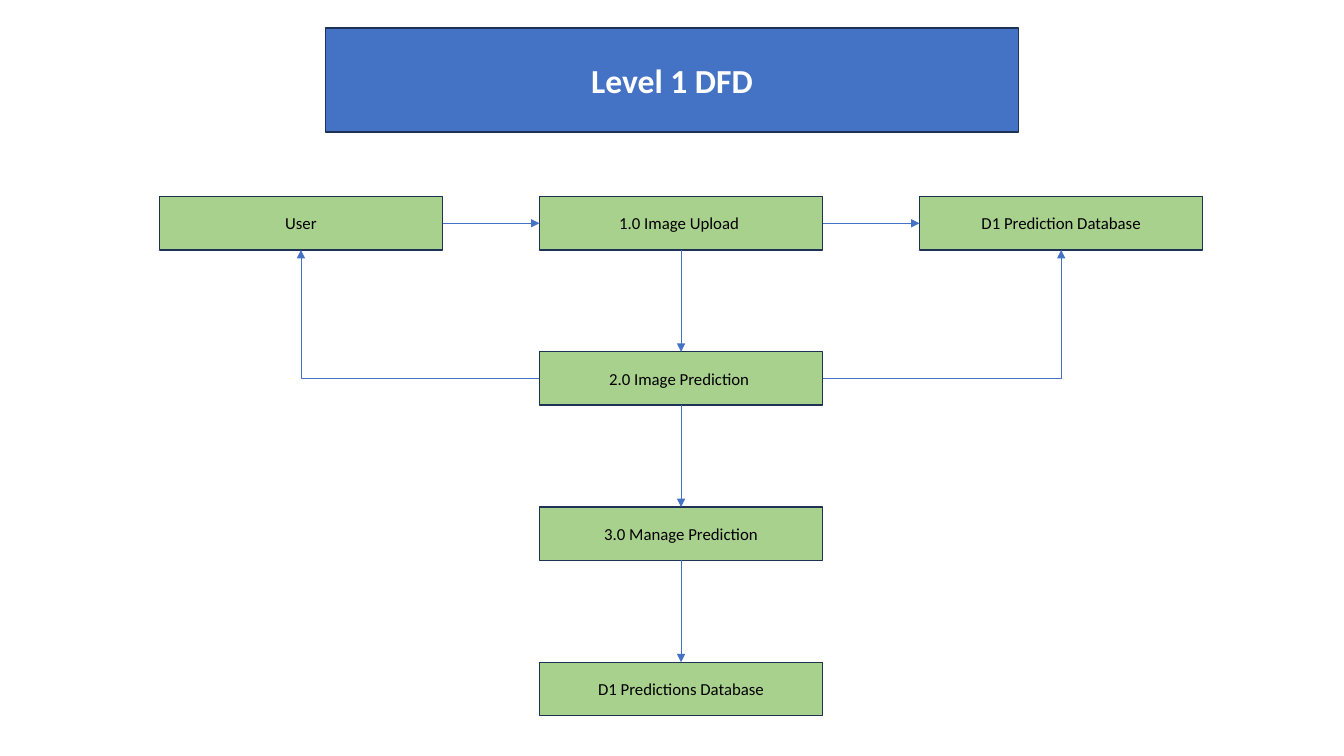
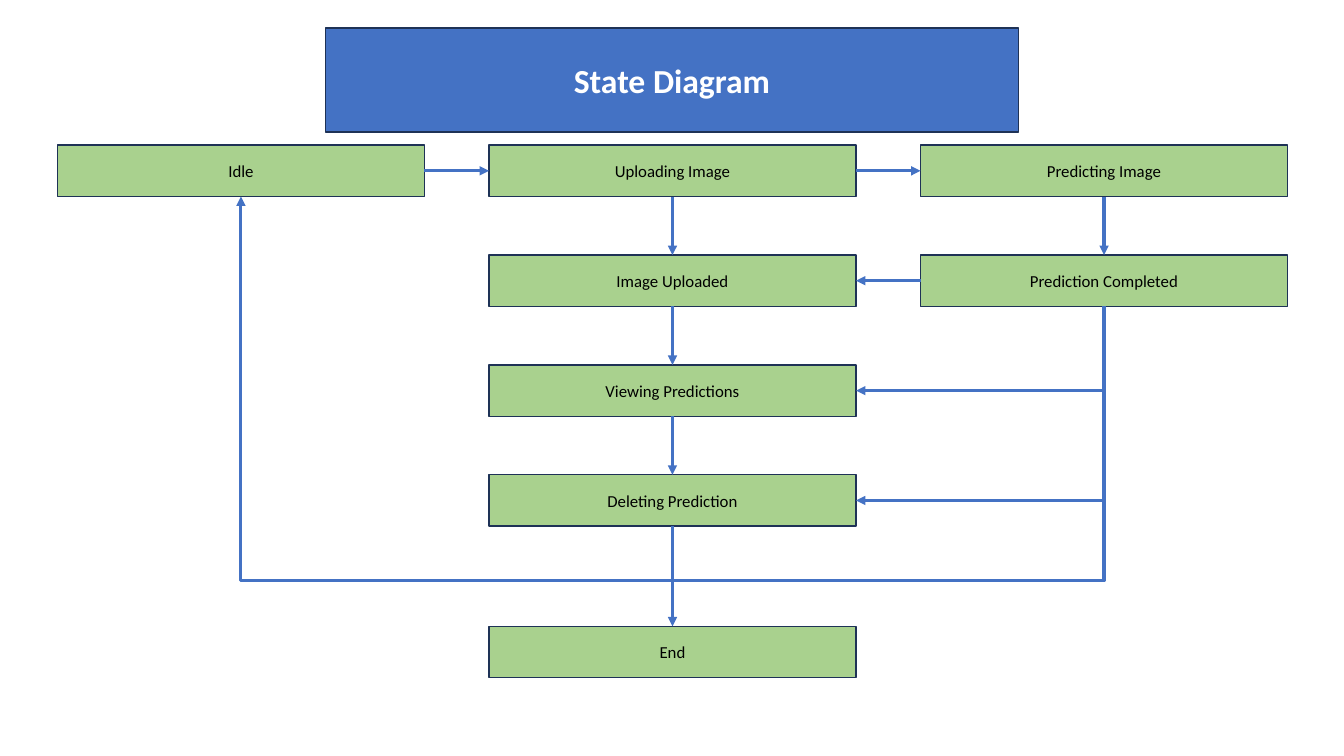
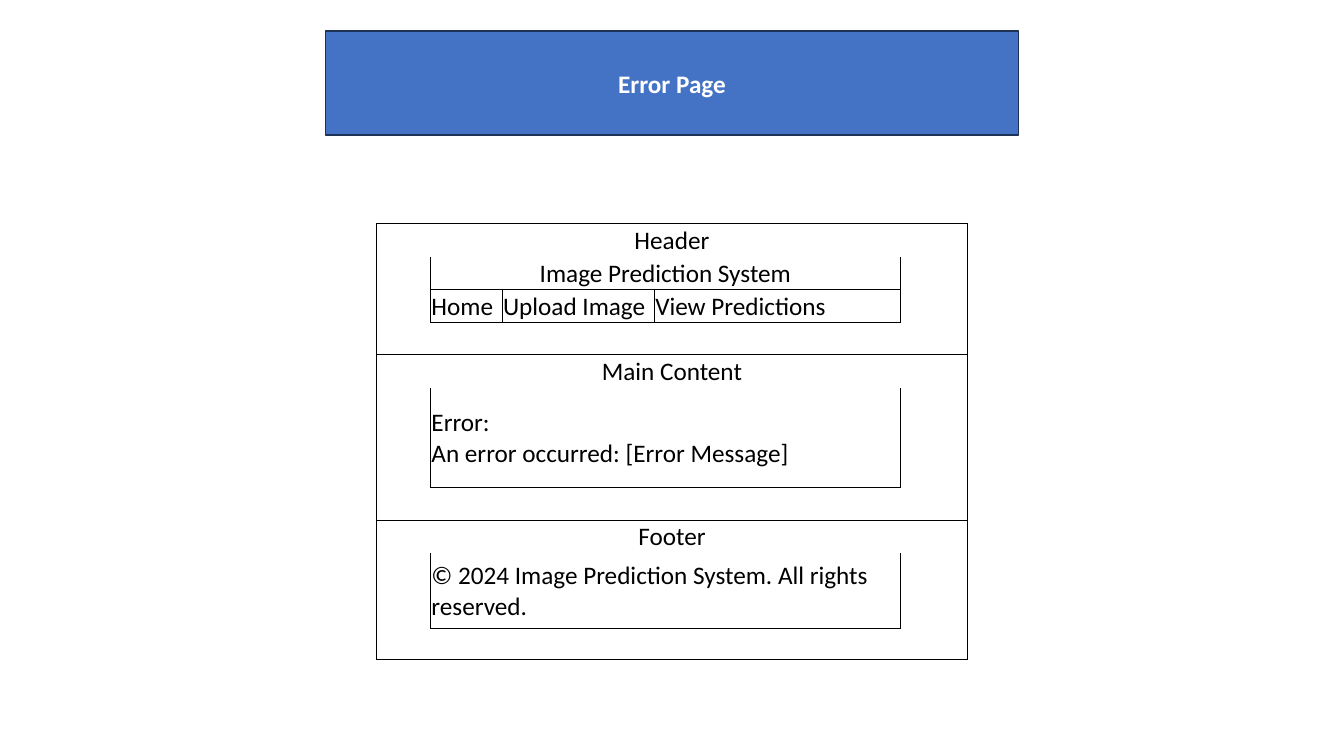
from dataclasses import dataclass

from pptx import Presentation, util as u
from pptx.dml.color import RGBColor
from pptx.enum import shapes, text
from pptx.oxml import ns, xmlchemy as xml


@dataclass(frozen=True)
class Theme:
    face: str = "Calibri"
    blue: str = "4472C4"
    green: str = "A9D18E"
    edge: str = "1E3256"
    ink: str = "000000"
    paper: str = "FFFFFF"
    head: int = 24
    body: int = 18
    node: int = 12


@dataclass(frozen=True)
class Grid:
    """Places equal boxes by column and row; steps run from box to box."""
    left: float
    top: float
    wide: float
    high: float
    across: float
    down: float

    def box(self, col, row):
        return (self.left + col * self.across, self.top + row * self.down,
                self.wide, self.high)


T = Theme()
WIDE, HIGH = 13.33, 7.5
TOP, LEFT, BOTTOM, RIGHT = range(4)  # connection sites of a rectangle
BARE = "{2D5ABB26-0587-4C30-8999-92F81FD0307C}"  # table style without lines


def rgb(code):
    return RGBColor.from_string(code)


def write(para, words, size, color, bold=False, align=text.PP_ALIGN.CENTER):
    para.alignment = align
    run = para.add_run()
    run.text = words
    font = run.font
    font.name, font.size, font.bold = T.face, u.Pt(size), bold
    font.color.rgb = rgb(color)


def block(slide, place, words, fill, size, color, bold=False):
    rect = slide.shapes.add_shape(shapes.MSO_SHAPE.RECTANGLE, *map(u.Inches, place))
    rect.shadow.inherit = False
    rect.fill.solid()
    rect.fill.fore_color.rgb = rgb(fill)
    rect.line.color.rgb = rgb(T.edge)
    rect.line.width = u.Pt(1)
    frame = rect.text_frame
    frame.word_wrap = True
    frame.vertical_anchor = text.MSO_ANCHOR.MIDDLE
    write(frame.paragraphs[0], words, size, color, bold)
    return rect


def title(slide, words, top=0.28, size=T.head):
    wide = 6.87
    block(slide, ((WIDE - wide) / 2, top, wide, 1.03), words,
          T.blue, size, T.paper, True)


def nodes(slide, grid, spots):
    """Draw one box per (name, column, row) and return them by name."""
    return {name.strip(): block(slide, grid.box(col, row), name,
                                T.green, T.node, T.ink)
            for name, col, row in spots}


def wire(slide, start, out, end, into, width, level=None):
    """Join two sites with an arrow; level is the height of a crossbar."""
    upright = out in (TOP, BOTTOM)
    corner = upright != (into in (TOP, BOTTOM))
    bent = corner or level is not None
    kind = shapes.MSO_CONNECTOR.ELBOW if bent else shapes.MSO_CONNECTOR.STRAIGHT
    link = slide.shapes.add_connector(kind, 0, 0, 0, 0)
    link.begin_connect(start, out)
    link.end_connect(end, into)
    link.line.color.rgb = rgb(T.blue)
    link.line.width = u.Pt(width)
    props = link._element.spPr
    tail = xml.OxmlElement("a:tailEnd")
    tail.set("type", "triangle")
    props.find(ns.qn("a:ln")).append(tail)
    props.append(xml.OxmlElement("a:effectLst"))
    if not bent:
        return
    shape = props.find(ns.qn("a:prstGeom"))
    if corner:
        shape.set("prst", "bentConnector2")
    else:
        share = (u.Inches(level) - link.begin_y) / (link.end_y - link.begin_y)
        guide = xml.OxmlElement("a:gd")
        guide.set("name", "adj1")
        guide.set("fmla", f"val {round(share * 100000)}")
        shape.find(ns.qn("a:avLst")).append(guide)
    if upright:
        turn(link)


def turn(link):
    """Rotate the frame a quarter so that the first leg runs vertically."""
    ax, ay, bx, by = link.begin_x, link.begin_y, link.end_x, link.end_y
    mx, my = (ax + bx) // 2, (ay + by) // 2
    link.begin_x, link.begin_y = mx + ay - my, my - ax + mx
    link.end_x, link.end_y = mx + by - my, my - bx + mx
    link._element.spPr.find(ns.qn("a:xfrm")).set("rot", "5400000")


def border(cell, sides):
    """Rule the given sides, listed in the order L, R, T, B."""
    props = cell._tc.get_or_add_tcPr()
    for spot, side in enumerate(sides):
        line = xml.OxmlElement(f"a:ln{side}")
        line.set("w", str(u.Pt(0.5)))
        fill = xml.OxmlElement("a:solidFill")
        color = xml.OxmlElement("a:srgbClr")
        color.set("val", T.ink)
        fill.append(color)
        line.append(fill)
        props.insert(spot, line)


def table(slide, left, top, cols, rows, items):
    """Fill a page mock-up; items maps (row, column) to (span, lines)."""
    frame = slide.shapes.add_table(
        len(rows), len(cols), *map(u.Inches, (left, top, sum(cols), sum(rows))))
    grid = frame.table
    grid._tbl.tblPr.find(ns.qn("a:tableStyleId")).text = BARE
    grid.first_row = grid.horz_banding = False
    for col, wide in zip(grid.columns, cols):
        col.width = u.Inches(wide)
    for row, high in zip(grid.rows, rows):
        row.height = u.Inches(high)
    last = len(cols) - 1
    ends = {row - 1 for row, col in items if col == 0 and row} | {len(rows) - 1}
    for row in range(len(rows)):
        for col in range(len(cols)):
            cell = grid.cell(row, col)
            span, lines = items.get((row, col), (1, []))
            if span > 1:
                cell.merge(grid.cell(row, col + span - 1))
            cell.fill.solid()
            cell.fill.fore_color.rgb = rgb(T.paper)
            cell.vertical_anchor = text.MSO_ANCHOR.MIDDLE
            cell.margin_left = cell.margin_right = cell.margin_top = u.Inches(0.01)
            cell.margin_bottom = 0
            inner = bool(lines) and col > 0
            edges = {"L": col == 0 or inner,
                     "R": col + span - 1 == last or inner,
                     "T": row == 0,
                     "B": row in ends or inner}
            border(cell, [side for side, on in edges.items() if on])
            mid = span > 1 and row in (0, 1) or col == 0
            align = text.PP_ALIGN.CENTER if mid else text.PP_ALIGN.LEFT
            for n, words in enumerate(lines):
                body = cell.text_frame
                para = body.add_paragraph() if n else body.paragraphs[0]
                write(para, words, T.body, T.ink, align=align)


def flow(slide):
    title(slide, "Level 1 DFD")
    box = nodes(slide, Grid(1.58, 1.95, 2.81, 0.53, 3.77, 1.54), [
        ("User", 0, 0), ("1.0 Image Upload ", 1, 0),
        ("D1 Prediction Database", 2, 0), ("2.0 Image Prediction ", 1, 1),
        ("3.0 Manage Prediction", 1, 2), ("D1 Predictions Database", 1, 3)])
    user, load, store, guess, manage, base = box.values()
    for link in [(user, RIGHT, load, LEFT), (load, RIGHT, store, LEFT),
                 (guess, LEFT, user, BOTTOM), (guess, RIGHT, store, BOTTOM),
                 (load, BOTTOM, guess, TOP), (guess, BOTTOM, manage, TOP),
                 (manage, BOTTOM, base, TOP)]:
        wire(slide, *link, 0.5)


def states(slide):
    title(slide, "State Diagram")
    box = nodes(slide, Grid(0.57, 1.44, 3.64, 0.51, 4.28, 1.09), [
        ("Idle", 0, 0), ("Uploading Image", 1, 0), ("Predicting Image", 2, 0),
        ("Image Uploaded", 1, 1), ("Prediction Completed", 2, 1),
        ("Viewing Predictions", 1, 2), ("Deleting Prediction", 1, 3),
        ("End", 1, 4.38)])
    idle, load, guess, loaded, done, view, drop, end = box.values()
    for link in [(idle, RIGHT, load, LEFT), (load, RIGHT, guess, LEFT),
                 (guess, BOTTOM, done, TOP), (done, LEFT, loaded, RIGHT),
                 (load, BOTTOM, loaded, TOP), (loaded, BOTTOM, view, TOP),
                 (view, BOTTOM, drop, TOP), (drop, BOTTOM, end, TOP),
                 (done, BOTTOM, view, RIGHT), (done, BOTTOM, drop, RIGHT)]:
        wire(slide, *link, 2.25)
    wire(slide, done, BOTTOM, idle, BOTTOM, 2.25, level=5.76)


def error(slide):
    title(slide, "Error Page", 0.31, T.body)
    table(slide, 3.73, 2.22, [0.54, 0.71, 1.51, 2.44, 0.67],
          [0.33, 0.32, 0.33, 0.32, 0.33, 0.99, 0.32, 0.33, 0.74, 0.31], {
              (0, 0): (5, ["Header"]),
              (1, 1): (3, ["Image Prediction System"]),
              (2, 1): (1, ["Home"]),
              (2, 2): (1, ["Upload Image"]),
              (2, 3): (1, ["View Predictions"]),
              (4, 0): (5, ["Main Content"]),
              (5, 1): (3, ["Error:", "An error occurred: [Error Message]"]),
              (7, 0): (5, ["Footer"]),
              (8, 1): (3, ["© 2024 Image Prediction System. All rights reserved."]),
          })


def main():
    deck = Presentation()
    deck.slide_width, deck.slide_height = u.Inches(WIDE), u.Inches(HIGH)
    for draw in (flow, states, error):
        draw(deck.slides.add_slide(deck.slide_layouts[6]))
    deck.save("out.pptx")


if __name__ == "__main__":
    main()
